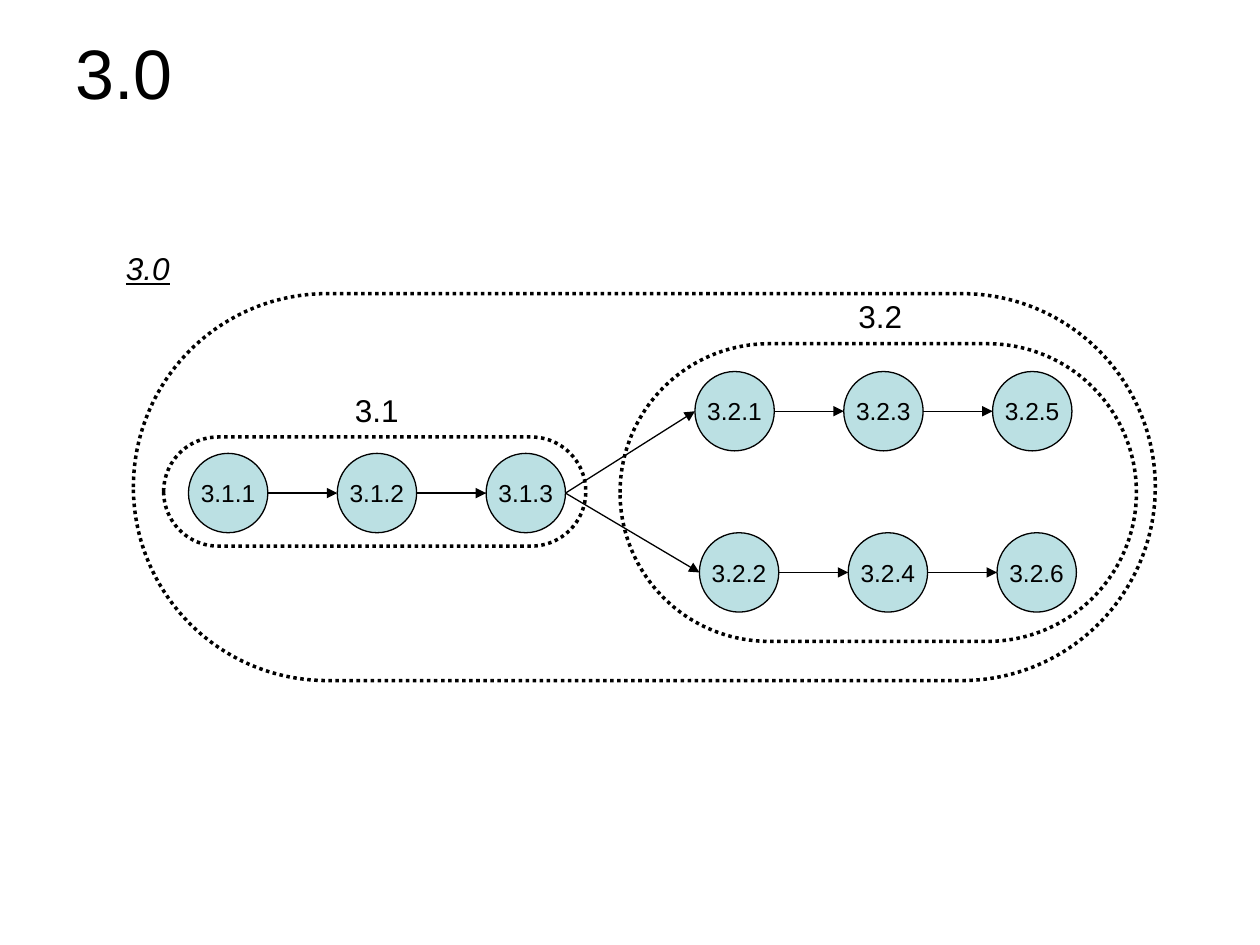
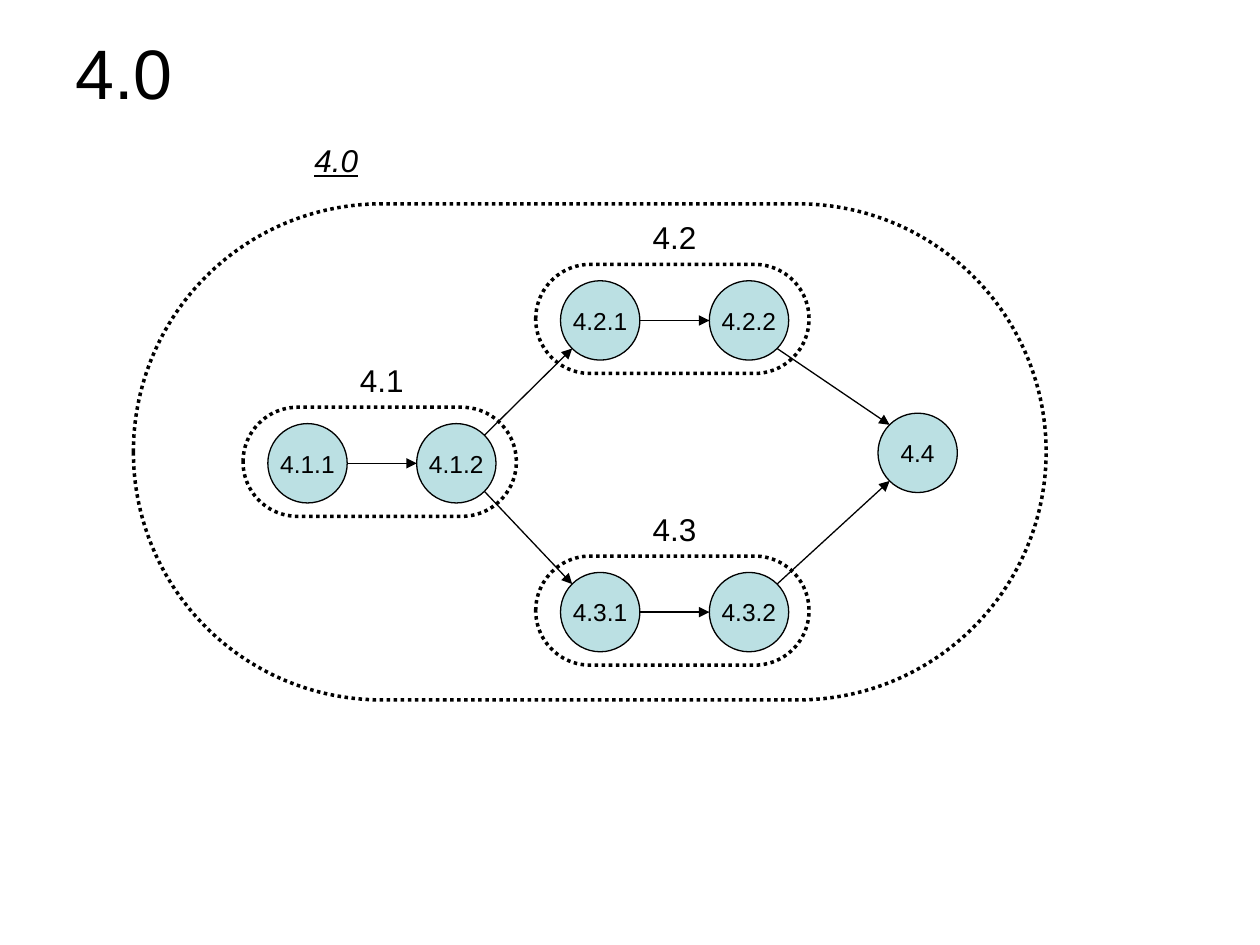
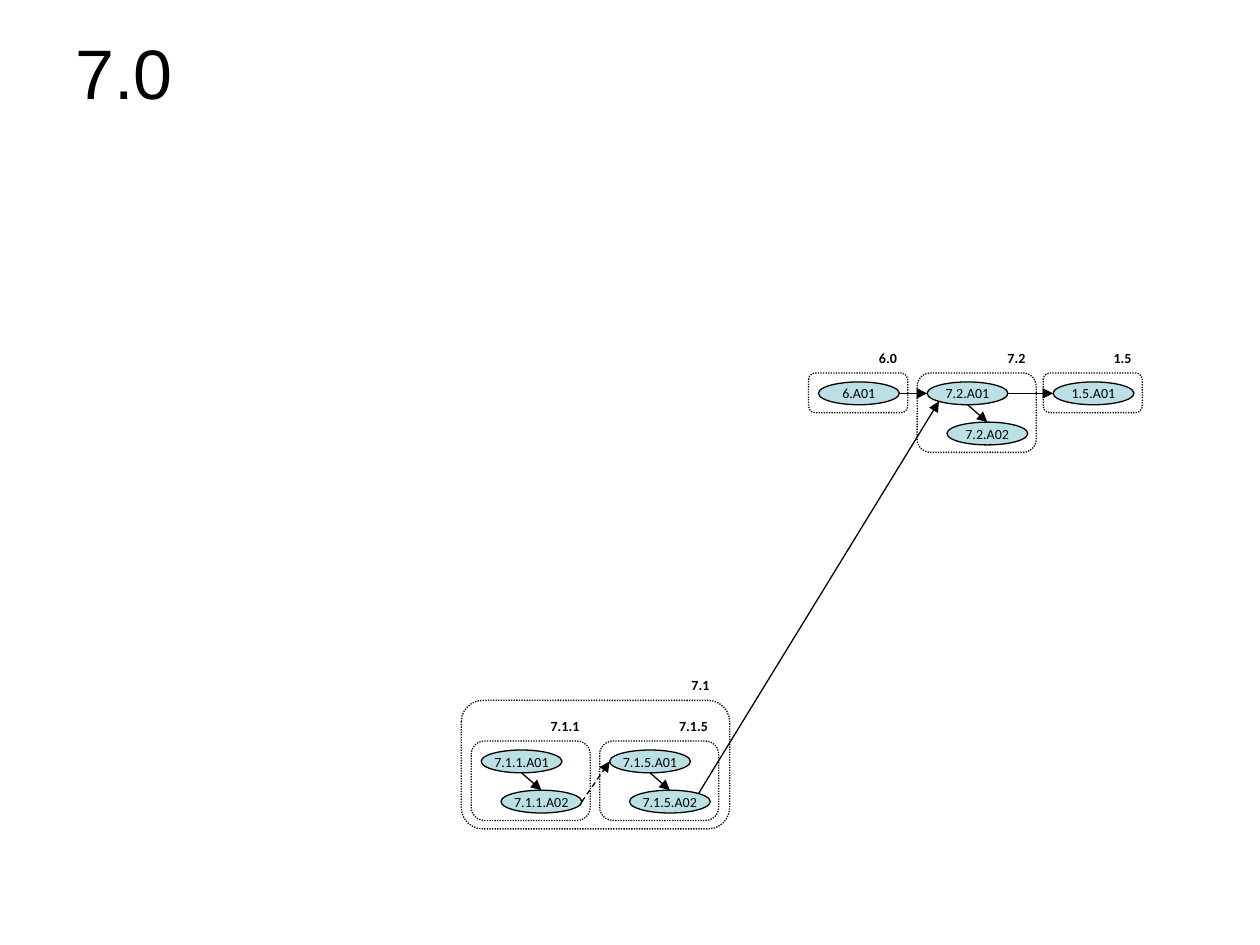
from math import cos, radians, sin

from lxml.etree import SubElement
from pptx import Presentation
from pptx.dml.color import RGBColor as Rgb
from pptx.enum.dml import MSO_LINE as Dash
from pptx.enum.shapes import MSO_CONNECTOR as Conn, MSO_SHAPE as Kind
from pptx.enum.text import MSO_ANCHOR as Anchor, MSO_AUTO_SIZE as Fit, PP_ALIGN as Align
from pptx.oxml.ns import qn
from pptx.util import Cm, Pt

INK = {"black": "000000", "aqua": "BBE0E3", "white": "FFFFFF"}
NODE, PITCH = 1.6, 3.0
OVAL_W, OVAL_H = 1.63, 0.46
TAG_W, TAG_H = 1.4, 1.01
EAST, SOUTH_EAST, SOUTH, SOUTH_WEST, WEST = 0, 45, 90, 135, 180
NORTH_WEST, NORTH_EAST = 225, 315


def tint(name):
    """Return a named colour."""
    return Rgb.from_string(INK[name])


def write(shape, text, size=14, font="Arial", align=Align.CENTER, anchor=Anchor.MIDDLE,
          wrap=False, fit=Fit.NONE, bold=False, slant=False):
    """Put formatted text in a shape; slanted text is underlined too."""
    frame = shape.text_frame
    frame.word_wrap, frame.auto_size, frame.vertical_anchor = wrap, fit, anchor
    para = frame.paragraphs[0]
    para.alignment = align
    run = para.add_run()
    run.text = text
    face = run.font
    face.name, face.size, face.color.rgb = font, Pt(size), tint("black")
    face.bold, face.italic, face.underline = bold, slant, slant


def draw(slide, kind, box, fill=None, width=0.74, dash=None):
    """Add a preset shape with a black line."""
    shape = slide.shapes.add_shape(kind, *map(Cm, box))
    shape.shadow.inherit = False
    if fill:
        shape.fill.solid()
        shape.fill.fore_color.rgb = tint(fill)
    else:
        shape.fill.background()
    shape.line.color.rgb, shape.line.width = tint("black"), Pt(width)
    if dash:
        shape.line.dash_style = dash
    return shape


def tag(slide, text, x, y, w=TAG_W, h=TAG_H, **style):
    """Add a label that fits its text."""
    box = slide.shapes.add_textbox(*map(Cm, (x, y, w, h)))
    style = {"size": 18, **style}
    write(box, text, align=Align.LEFT, anchor=Anchor.TOP, fit=Fit.SHAPE_TO_FIT_TEXT, **style)


def rim(shape, angle):
    """Return the point of an ellipse at an angle, clockwise from east."""
    turn = radians(angle)
    return (int(shape.left + shape.width / 2 * (1 + cos(turn))),
            int(shape.top + shape.height / 2 * (1 + sin(turn))))


def link(slide, tail, head, leave=EAST, reach=WEST, dash=None):
    """Draw an arrow between two ellipses."""
    line = slide.shapes.add_connector(Conn.STRAIGHT, *rim(tail, leave), *rim(head, reach))
    line.line.color.rgb, line.line.width = tint("black"), Pt(0.74)
    if dash:
        line.line.dash_style = dash
    SubElement(line.get_or_add_ln(), qn("a:tailEnd"), type="triangle")
    SubElement(line.element.spPr, qn("a:effectLst"))


def disc(slide, name, x, y):
    """Add a round task."""
    shape = draw(slide, Kind.OVAL, (x, y, NODE, NODE), "aqua")
    write(shape, name)
    return shape


def chain(slide, names, x, y):
    """Add a row of round tasks joined by arrows."""
    nodes = [disc(slide, name, x + i * PITCH, y) for i, name in enumerate(names)]
    for tail, head in zip(nodes, nodes[1:]):
        link(slide, tail, head)
    return nodes


def ring(slide, box):
    """Add a dotted outline with round ends."""
    draw(slide, Kind.ROUNDED_RECTANGLE, box, width=2.01, dash=Dash.ROUND_DOT).adjustments[0] = 0.5


def pill(slide, name, box, rows):
    """Add a labelled outline around rows given as (dx, dy, names)."""
    x, y, w, _ = box
    chains = [chain(slide, names, x + dx, y + dy) for dx, dy, names in rows]
    tag(slide, name, x + (w - TAG_W) / 2 + 0.05, y - 1.06)
    ring(slide, box)
    return chains


def pen(slide, name, box, tasks=(), shift=0.04):
    """Add a small dotted box with oval tasks stepping down to the right."""
    x, y, w, _ = box
    draw(slide, Kind.FLOWCHART_ALTERNATE_PROCESS, box, dash=Dash.ROUND_DOT)
    wide = 1.09 if len(name) > 3 else 0.87
    tag(slide, name, x + w + shift - wide, y - 0.6, wide, 0.58, size=8, font="Calibri", bold=True)
    nodes = []
    for i, task in enumerate(tasks):
        node = draw(slide, Kind.OVAL, (x + 0.2 + i * 0.4, y + 0.18 + i * 0.81, OVAL_W, OVAL_H),
                    "aqua")
        write(node, task, size=8, font="Calibri")
        nodes.append(node)
    for tail, head in zip(nodes, nodes[1:]):
        link(slide, tail, head, SOUTH, 270)
    return nodes


def fork(slide, box):
    """Draw one chain that splits into two."""
    x, y, _, _ = box
    tag(slide, "3.0", x - 0.4, y - 1.02, slant=True)
    first, = pill(slide, "3.1", (x + 0.61, y + 2.89, 8.51, 2.2),
                  [(0.5, 0.33, ["3.1.1", "3.1.2", "3.1.3"])])
    rows = pill(slide, "3.2", (x + 9.81, y + 1.01, 10.41, 6),
                [(1.51, 0.56, ["3.2.1", "3.2.3", "3.2.5"]),
                 (1.6, 3.81, ["3.2.2", "3.2.4", "3.2.6"])])
    for row in rows:
        link(slide, first[-1], row[0])
    ring(slide, box)


def merge(slide, box):
    """Draw one chain that splits into two and joins again."""
    x, y, _, _ = box
    tag(slide, "4.0", x + 3.4, y - 1.39, slant=True)
    spots = {"4.1": (2.21, 4.1), "4.2": (8.11, 1.22), "4.3": (8.11, 7.1)}
    first, upper, lower = [
        pill(slide, name, (x + dx, y + dy, 5.51, 2.2),
             [(0.5, 0.33, [f"{name}.1", f"{name}.2"])])[0]
        for name, (dx, dy) in spots.items()]
    last = disc(slide, "4.4", x + 15.01, y + 4.22)
    link(slide, first[-1], upper[0], NORTH_EAST, SOUTH_WEST)
    link(slide, first[-1], lower[0], SOUTH_EAST, NORTH_WEST)
    link(slide, upper[-1], last, SOUTH_EAST, NORTH_WEST)
    link(slide, lower[-1], last, NORTH_EAST, SOUTH_WEST)
    ring(slide, box)


def steps(slide, box):
    """Draw the nested boxes below and the row of boxes above."""
    x, y, _, _ = box
    pen(slide, "7.1", (x, y + 6.6, 5.41, 2.59), shift=-0.15)
    left, right = [pen(slide, name, (x + dx, y + 7.42, 2.4, 1.6), [f"{name}.A01", f"{name}.A02"])
                   for name, dx in (("7.1.1", 0.2), ("7.1.5", 2.79))]
    start, = pen(slide, "6.0", (x + 7, y, 2, 0.8), ["6.A01"])
    mid, _ = pen(slide, "7.2", (x + 9.19, y, 2.4, 1.6), ["7.2.A01", "7.2.A02"])
    end, = pen(slide, "1.5", (x + 11.73, y, 2, 0.8), ["1.5.A01"])
    link(slide, left[1], right[0], dash=Dash.DASH)
    link(slide, start, mid)
    link(slide, mid, end)
    link(slide, right[1], mid, NORTH_EAST, SOUTH_WEST)


def page(deck, title):
    """Add a white slide with its title."""
    slide = deck.slides.add_slide(deck.slide_layouts[5])
    slide.background.fill.solid()
    slide.background.fill.fore_color.rgb = tint("white")
    head = slide.shapes.title
    head.left, head.top, head.width, head.height = map(Cm, (1.27, 0.76, 22.86, 1.37))
    write(head, title, size=40, align=Align.LEFT, wrap=True)
    return slide


def main():
    """Build the deck."""
    deck = Presentation()
    deck.slide_width, deck.slide_height = Cm(25.4), Cm(19.05)
    fork(page(deck, "3.0"), (2.69, 5.92, 20.6, 7.8))
    merge(page(deck, "4.0"), (2.69, 4.11, 18.4, 10))
    steps(page(deck, "7.0"), (9.3, 7.52, 13.73, 9.19))
    deck.save("out.pptx")


main()
